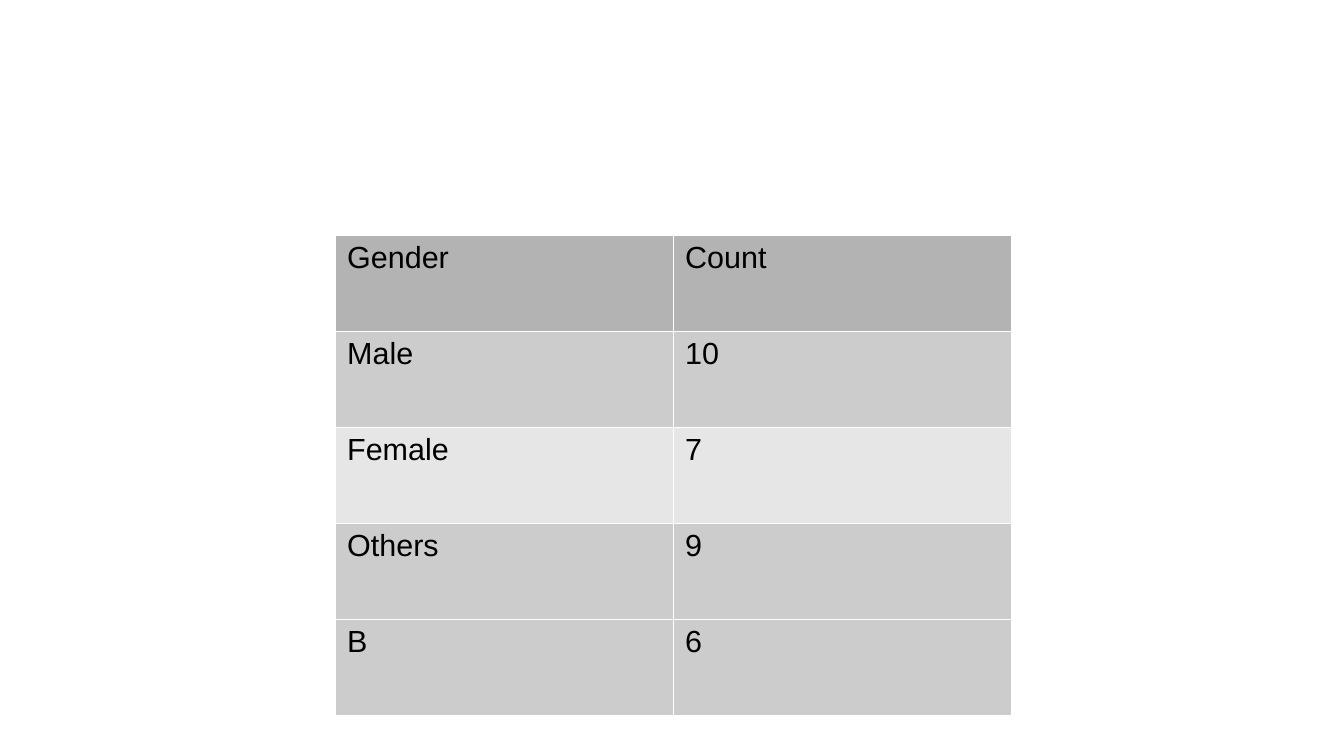
from lxml.etree import SubElement
from pptx import Presentation
from pptx.dml.color import RGBColor
from pptx.oxml.ns import qn
from pptx.util import Emu, Pt

PX = 914400 / 122
COLORS = {
    "text": "000000",
    "border": "FFFFFF",
    "header": "B3B3B3",
    "dark": "CCCCCC",
    "light": "E6E6E6",
}


def px(n):
    return Emu(round(n * PX))


class Deck:
    font = "Arial"
    size = Pt(18)
    border = Pt(0.06)

    def __init__(self, width, height):
        self.prs = Presentation()
        self.prs.slide_width, self.prs.slide_height = px(width), px(height)
        self.s = self.prs.slides.add_slide(self.prs.slide_layouts[6])

    def table(self, x, y, col_width, row_height, rows, fills):
        n_rows, n_cols = len(rows), len(rows[0])
        table = self.s.shapes.add_table(
            n_rows, n_cols, px(x), px(y),
            px(col_width * n_cols), px(row_height * n_rows)).table
        table.horz_banding = False
        for col in table.columns:
            col.width = px(col_width)
        for r, (values, fill) in enumerate(zip(rows, fills)):
            table.rows[r].height = px(row_height)
            for c, value in enumerate(values):
                self.cell(table.cell(r, c), value, fill)

    def cell(self, cell, value, fill):
        # Text
        cell.text = value
        p = cell.text_frame.paragraphs[0]
        p.font.name, p.font.size, p.font.bold = self.font, self.size, False
        p.font.color.rgb = RGBColor.from_string(COLORS["text"])

        # Borders come before the fill in the cell properties
        props = cell._tc.get_or_add_tcPr()
        for side in ("a:lnL", "a:lnR", "a:lnT", "a:lnB"):
            line = SubElement(props, qn(side), w=str(int(self.border)))
            solid = SubElement(line, qn("a:solidFill"))
            SubElement(solid, qn("a:srgbClr"), val=COLORS["border"])
        cell.fill.solid()
        cell.fill.fore_color.rgb = RGBColor.from_string(COLORS[fill])


def main():
    deck = Deck(1344, 756)

    # Gender counts
    rows = [
        ("Gender", "Count"),
        ("Male", "10"),
        ("Female", "7"),
        ("Others", "9"),
        ("B", "6"),
    ]
    fills = ["header", "dark", "light", "dark", "dark"]
    deck.table(335, 235, 338, 96, rows, fills)

    deck.prs.save("out.pptx")


if __name__ == "__main__":
    main()
